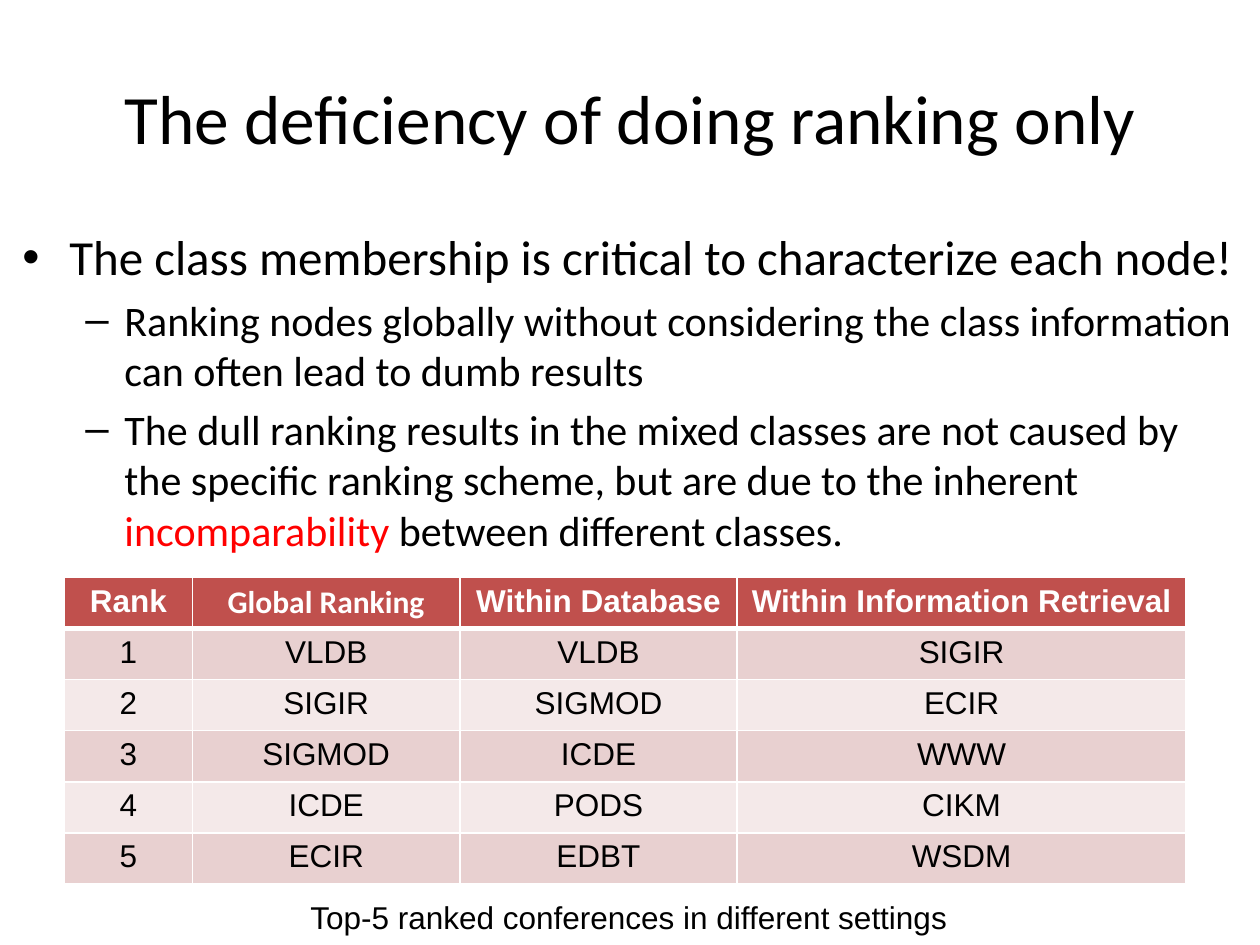
from typing import NamedTuple

from lxml.etree import SubElement as Sub
from pptx import Presentation
from pptx.dml.color import RGBColor as RGB
from pptx.enum.text import MSO_ANCHOR as Anchor, PP_ALIGN as Align
from pptx.oxml.ns import qn
from pptx.util import Cm, Pt

BLACK = RGB(0x00, 0x00, 0x00)
WHITE = RGB(0xFF, 0xFF, 0xFF)
RED = RGB(0xFF, 0x00, 0x00)
BRICK = RGB(0xC0, 0x50, 0x4D)
ROSE = RGB(0xE8, 0xD0, 0xD0)
PALE = RGB(0xF4, 0xE9, 0xE9)


class Box(NamedTuple):
    left: float
    top: float
    width: float
    height: float

    def place(self) -> list:
        return [Cm(side) for side in self]


class Run(NamedTuple):
    text: str
    size: float
    font: str = "Calibri"
    color: RGB = BLACK
    bold: bool = False


class Point(NamedTuple):
    mark: str
    left: float
    hang: float
    space: float
    runs: list[Run]


def add_run(para, run: Run) -> None:
    item = para.add_run()
    item.text = run.text
    font = item.font
    font.size, font.name, font.bold = Pt(run.size), run.font, run.bold
    font.color.rgb = run.color


def add_box(slide, box: Box, anchor=Anchor.TOP):
    frame = slide.shapes.add_textbox(*box.place()).text_frame
    frame.word_wrap = True
    frame.vertical_anchor = anchor
    return frame


def add_line(slide, box: Box, run: Run, anchor=Anchor.TOP) -> None:
    para = add_box(slide, box, anchor).paragraphs[0]
    para.alignment = Align.CENTER
    add_run(para, run)


def add_points(slide, box: Box, points: list[Point]) -> None:
    frame = add_box(slide, box)
    for num, point in enumerate(points):
        para = frame.add_paragraph() if num else frame.paragraphs[0]
        para.space_before = Pt(point.space)
        props = para._p.get_or_add_pPr()
        props.set("marL", str(Cm(point.left)))
        props.set("indent", str(-Cm(point.hang)))
        Sub(props, qn("a:buFont"), typeface="Arial")
        Sub(props, qn("a:buChar"), char=point.mark)
        for run in point.runs:
            add_run(para, run)


def add_edge(cell, side: str, width: float) -> None:
    line = Sub(cell._tc.get_or_add_tcPr(), qn(f"a:ln{side}"), w=str(Pt(width)))
    Sub(Sub(line, qn("a:solidFill")), qn("a:srgbClr"), val=str(WHITE))


def fill_cell(cell, row: int, run: Run) -> None:
    # Borders come before the fill in the cell properties
    for side in "LRTB":
        thick = (row, side) in ((0, "B"), (1, "T"))
        add_edge(cell, side, 3 if thick else 1)
    cell.fill.solid()
    cell.fill.fore_color.rgb = BRICK if row == 0 else ROSE if row % 2 else PALE
    para = cell.text_frame.paragraphs[0]
    para.alignment = Align.CENTER
    add_run(para, run)


def add_ranks(slide, box: Box, widths: list[float], heads: list[Run],
              ranks: list[tuple]) -> None:
    rows = [heads]
    for num, names in enumerate(ranks, 1):
        rows.append([Run(text, 18, "Arial") for text in (str(num), *names)])
    table = slide.shapes.add_table(len(rows), len(heads), *box.place()).table
    table.first_row = table.horz_banding = False
    for col, width in zip(table.columns, widths):
        col.width = Cm(width)
    for row, runs in enumerate(rows):
        for col, run in enumerate(runs):
            fill_cell(table.cell(row, col), row, run)


def main() -> None:
    deck = Presentation()
    deck.slide_width, deck.slide_height = Cm(25.4), Cm(19.05)
    slide = deck.slides.add_slide(deck.slide_layouts[6])

    # Title
    add_line(slide, Box(1.27, 0.76, 22.86, 3.18),
             Run("The deficiency of doing ranking only", 39.6), Anchor.MIDDLE)

    # Main point and its two reasons
    add_points(slide, Box(0.2, 4.45, 24.97, 12.57), [
        Point("•", 0.95, 0.95, 0, [
            Run("The class membership is critical to characterize each node!", 28)]),
        Point("–", 2.06, 0.79, 4.8, [
            Run("Ranking nodes globally without considering the class "
                "information can often lead to dumb results", 24)]),
        Point("–", 2.06, 0.79, 4.8, [
            Run("The dull ranking results in the mixed classes are not caused by "
                "the specific ranking scheme, but are due to the inherent ", 24),
            Run("incomparability", 24, color=RED),
            Run(" between different classes.", 24)]),
    ])

    # Ranking table
    heads = [
        Run("Rank", 18, "Arial", WHITE, True),
        Run("Global Ranking", 18, "Calibri", WHITE, True),
        Run("Within Database", 18, "Arial", WHITE, True),
        Run("Within Information Retrieval", 18, "Arial", WHITE, True),
    ]
    ranks = [
        ("VLDB", "VLDB", "SIGIR"),
        ("SIGIR", "SIGMOD", "ECIR"),
        ("SIGMOD", "ICDE", "WWW"),
        ("ICDE", "PODS", "CIKM"),
        ("ECIR", "EDBT", "WSDM"),
    ]
    add_ranks(slide, Box(1.3, 11.64, 22.61, 6.18), [2.58, 5.39, 5.59, 9.05],
              heads, ranks)

    # Caption
    add_line(slide, Box(5.08, 17.98, 15.19, 1.02),
             Run("Top-5 ranked conferences in different settings", 18, "Arial"))

    deck.save("out.pptx")


if __name__ == "__main__":
    main()
